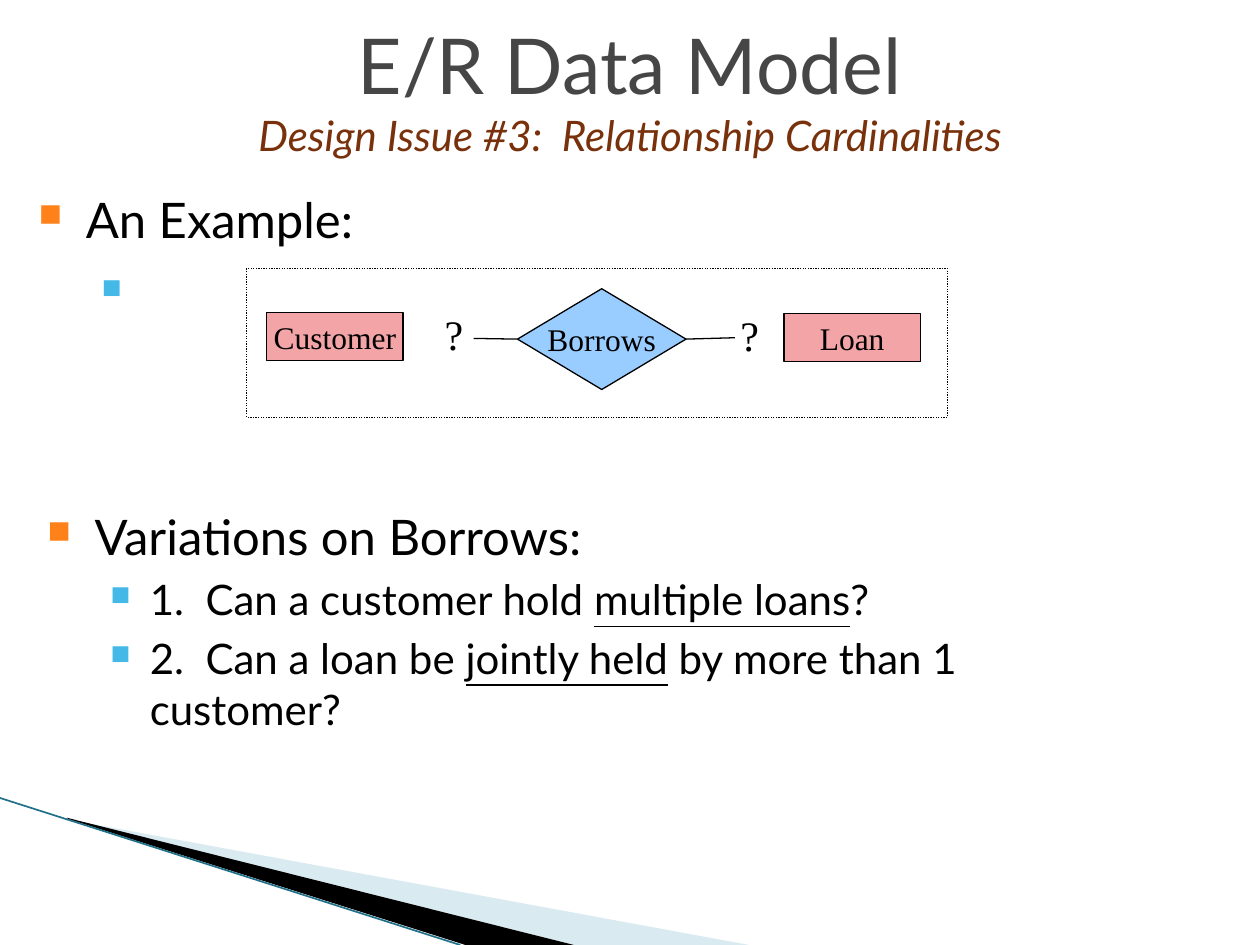
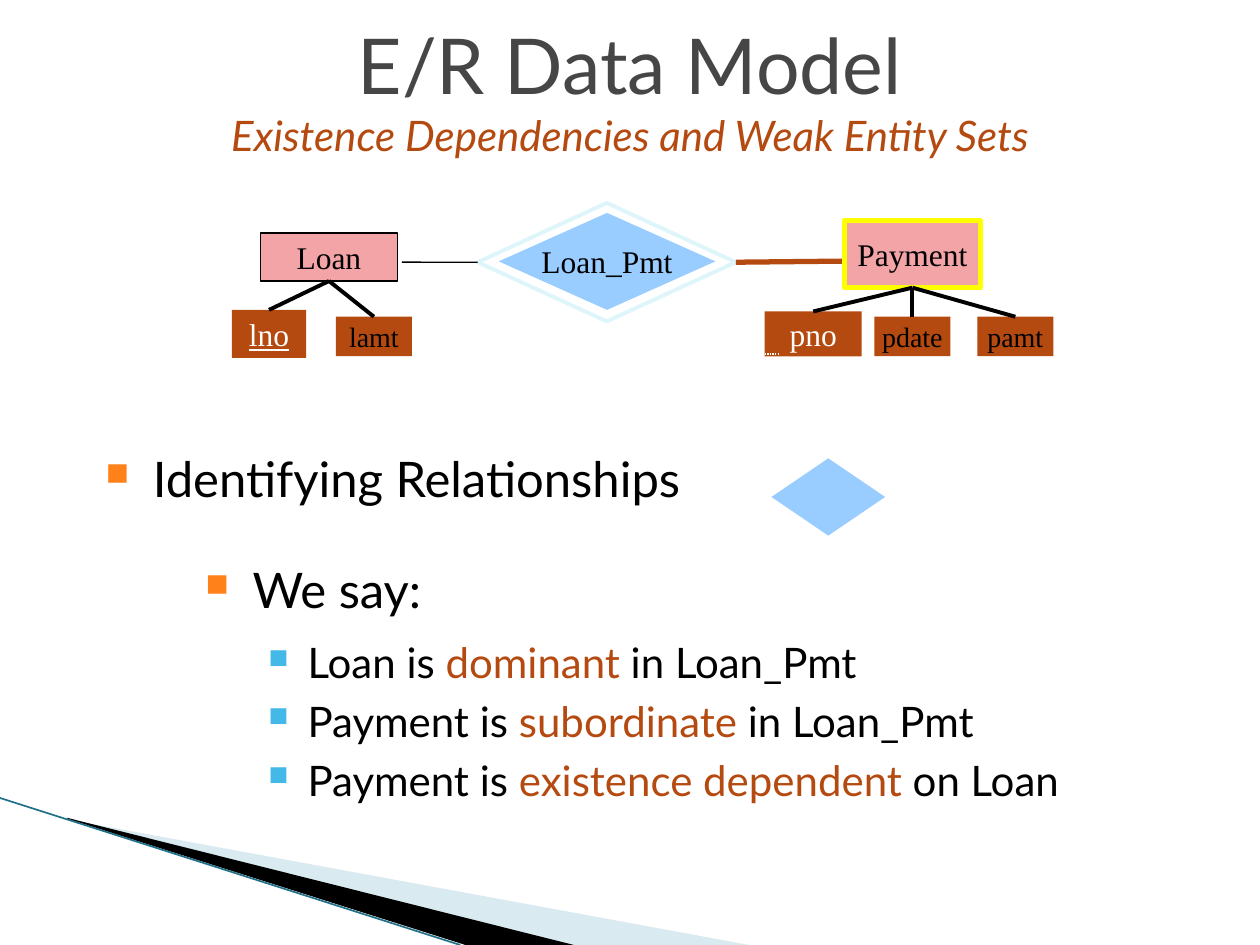
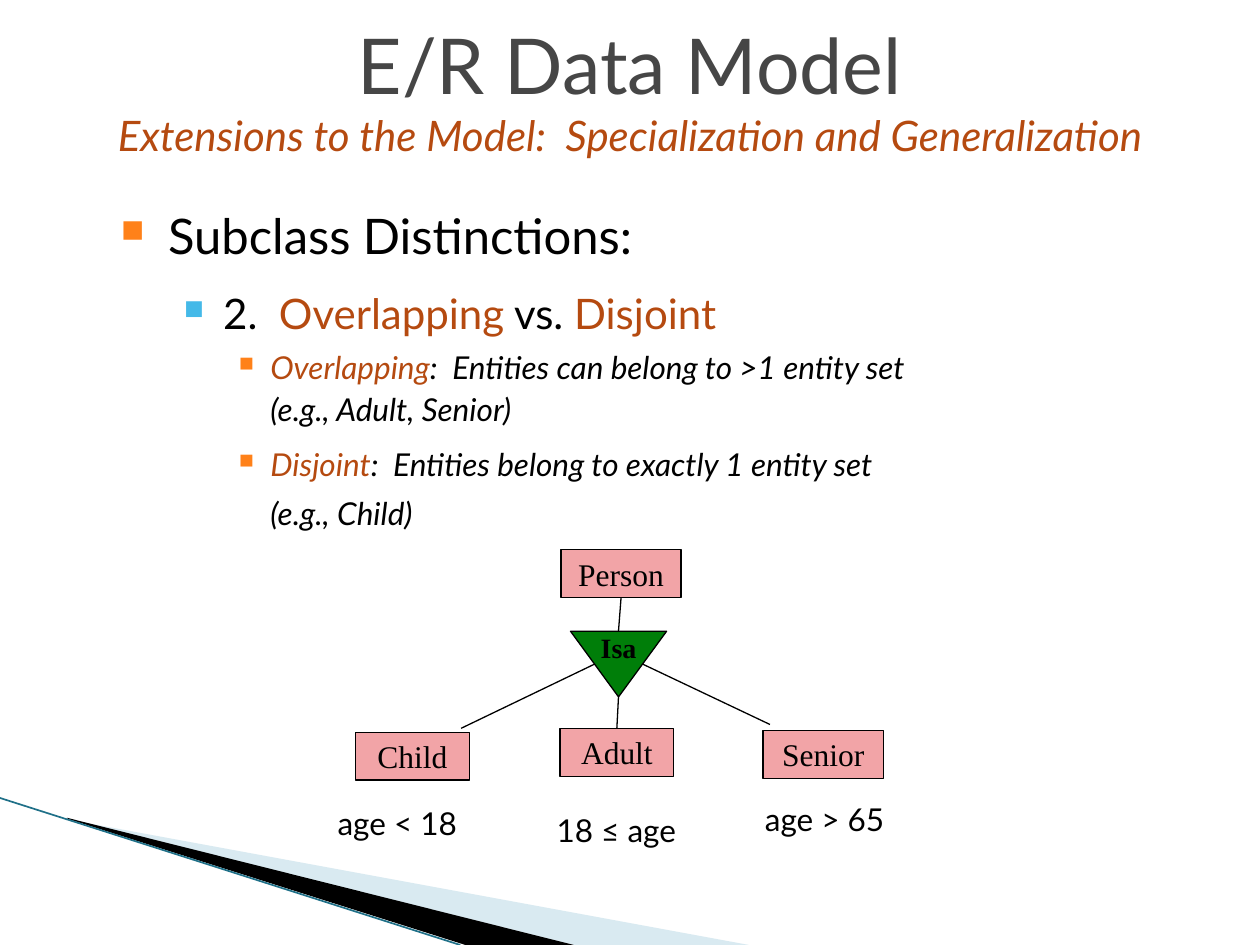
from pptx import Presentation
from pptx.dml.color import RGBColor
from pptx.enum.dml import MSO_LINE
from pptx.enum.shapes import MSO_CONNECTOR, MSO_SHAPE
from pptx.enum.text import MSO_ANCHOR, MSO_AUTO_SIZE, PP_ALIGN
from pptx.oxml.ns import qn
from pptx.util import Pt
from lxml.etree import SubElement

# Shared look
BLACK = RGBColor(0x00, 0x00, 0x00)
WHITE = RGBColor(0xFF, 0xFF, 0xFF)
GREY = RGBColor(0x46, 0x46, 0x46)
BROWN = RGBColor(0x78, 0x31, 0x0B)
RUST = RGBColor(0xB5, 0x4A, 0x10)
PINK = RGBColor(0xF2, 0xA4, 0xA7)
BLUE = RGBColor(0x99, 0xCC, 0xFF)
PALE = RGBColor(0xDE, 0xF5, 0xFA)
GREEN = RGBColor(0x00, 0x7E, 0x09)
YELLOW = RGBColor(0xFF, 0xFF, 0x00)
MIST = RGBColor(0xA0, 0xCB, 0xDC)
TEAL = RGBColor(0x1F, 0x70, 0x88)
SANS, SERIF = "Lato", "Times New Roman"
TOP, LEFT, BOTTOM, RIGHT = range(4)

# Per list level: left margin, hanging indent, text size, bullet colour, italic
LEVELS = [
    (27, 27, 28, "FF8119", False),
    (58.5, 22.5, 24, "44B9E8", False),
    (85.5, 18, 18, "FF8119", True),
]


def style(font, name=None, size=None, color=None):
    if name:
        font.name = name
    if size:
        font.size = Pt(size)
    if color is not None:
        font.color.rgb = color


def frame(slide, left, top, width, height):
    box = slide.shapes.add_textbox(Pt(left), Pt(top), Pt(width), Pt(height))
    box.text_frame.word_wrap = True
    return box.text_frame


def wedge(slide, points, color):
    start, *rest = [(Pt(x), Pt(y)) for x, y in points]
    pen = slide.shapes.build_freeform(*start)
    pen.add_line_segments(rest)
    shape = pen.convert_to_shape()
    shape.shadow.inherit = False
    shape.fill.solid()
    shape.fill.fore_color.rgb = color
    shape.line.fill.background()
    return shape


def link(slide, start, end, color=BLACK, width=0.75, dash=None):
    """Each end is a point (x, y) or a joint (shape, side)."""
    line = slide.shapes.add_connector(MSO_CONNECTOR.STRAIGHT, 0, 0, 0, 0)
    if isinstance(start[0], (int, float)):
        line.begin_x, line.begin_y = map(Pt, start)
    else:
        line.begin_connect(*start)
    if isinstance(end[0], (int, float)):
        line.end_x, line.end_y = map(Pt, end)
    else:
        line.end_connect(*end)
    line.line.color.rgb = color
    line.line.width = Pt(width)
    if dash:
        line.line.dash_style = dash
    SubElement(line._element.spPr, qn("a:effectLst"))


def node(slide, kind, area, text="", fill=PINK, edge=BLACK, width=0.75,
         size=18, color=BLACK):
    shape = slide.shapes.add_shape(kind, *map(Pt, area))
    shape.shadow.inherit = False
    if fill is None:
        shape.fill.background()
    else:
        shape.fill.solid()
        shape.fill.fore_color.rgb = fill
    if edge is None:
        shape.line.fill.background()
    else:
        shape.line.color.rgb = edge
        shape.line.width = Pt(width)
    if text:
        body = shape.text_frame
        body.word_wrap = False
        body.vertical_anchor = MSO_ANCHOR.MIDDLE
        para = body.paragraphs[0]
        para.text = text
        para.alignment = PP_ALIGN.CENTER
        style(para.font, SERIF, size, color)
    return shape


def field(slide, area, text, size=16, color=BLACK):
    return node(slide, MSO_SHAPE.RECTANGLE, area, text, RUST, None,
                size=size, color=color)


def label(slide, left, top, width, height, text, name, size):
    body = frame(slide, left, top, width, height)
    body.word_wrap = False
    body.auto_size = MSO_AUTO_SIZE.SHAPE_TO_FIT_TEXT
    para = body.paragraphs[0]
    para.text = text
    style(para.font, name, size, BLACK)


def bullet(para, level, space):
    margin, hang, size, color, slant = LEVELS[level]
    props = para._p.get_or_add_pPr()
    props.set("marL", str(Pt(margin)))
    props.set("indent", str(-Pt(hang)))
    tint = SubElement(props, qn("a:buClr"))
    SubElement(tint, qn("a:srgbClr")).set("val", color)
    SubElement(props, qn("a:buSzPct")).set("val", "65000")
    SubElement(props, qn("a:buChar")).set("char", "■")
    para.level = level
    if space:
        para.line_spacing = space
    style(para.font, SANS, size, BLACK)
    para.font.italic = slant


def bullets(slide, area, items):
    """Items are (level, line spacing, parts); a part is text or (text, mark)."""
    body = frame(slide, *area)
    for index, (level, space, parts) in enumerate(items):
        para = body.add_paragraph() if index else body.paragraphs[0]
        bullet(para, level, space)
        if index:
            para.space_before = Pt(LEVELS[level][2] * 0.2)
        for part in parts:
            text, mark = (part, None) if isinstance(part, str) else part
            for row, piece in enumerate(text.split("\n")):
                if row:
                    para.add_line_break()
                run = para.add_run()
                run.text = piece
                if mark == "under":
                    run.font.underline = True
                elif mark is not None:
                    run.font.color.rgb = mark


def start(deck, topic, color=RUST):
    """Add a slide with the corner wedges and the two-line title."""
    slide = deck.slides.add_slide(deck.slide_layouts[6])
    mist = wedge(slide, [(39.6, 468.5), (428, 540), (328, 540), (39.6, 468)], MIST)
    tint = mist.fill._xPr.find(".//" + qn("a:srgbClr"))
    SubElement(tint, qn("a:alpha")).set("val", "40000")
    wedge(slide, [(38.2, 467.3), (328, 540), (266, 540), (38.9, 468)], BLACK)
    link(slide, (0, 456), (263, 540), TEAL, 0.95)

    body = frame(slide, 0, 5.8, 720, 90)
    body.vertical_anchor = MSO_ANCHOR.MIDDLE
    para = body.paragraphs[0]
    para.alignment = PP_ALIGN.CENTER
    para.font.name = SANS
    head = para.add_run()
    head.text = "E/R Data Model"
    style(head.font, size=44, color=GREY)
    para.add_line_break()
    sub = para.add_run()
    sub.text = topic
    style(sub.font, size=24, color=color)
    sub.font.italic = True
    return slide


def ratios(deck):
    slide = start(deck, "Design Issue #3:  Relationship Cardinalities", BROWN)
    bullets(slide, (15, 105, 228, 50), [(0, None, ["An Example:"]), (1, 1.2, [" "])])

    # Borrows diagram
    node(slide, MSO_SHAPE.RECTANGLE, (152.4, 178.6, 78, 27.4), "Customer")
    panel = node(slide, MSO_SHAPE.RECTANGLE, (141, 153.4, 400.5, 85), fill=None)
    panel.line.dash_style = MSO_LINE.ROUND_DOT
    tie = node(slide, MSO_SHAPE.DIAMOND, (295.7, 165, 96.3, 57.6), "Borrows", BLUE)
    node(slide, MSO_SHAPE.RECTANGLE, (448, 179.3, 78, 27.4), "Loan")
    link(slide, (270.7, 193.4), (tie, LEFT))
    link(slide, (tie, RIGHT), (420, 193))
    for left, top in [(247, 172.8), (416, 173.5)]:
        label(slide, left, top, 25, 36, "?", SERIF, 24)

    bullets(slide, (20, 286, 631.5, 50), [
        (0, None, ["Variations on Borrows:"]),
        (1, None, ["1.  Can a customer hold ", ("multiple loans", "under"), "?"]),
        (1, None, ["2.  Can a loan be ", ("jointly held", "under"),
                   " by more than 1 customer?"]),
    ])


def weak(deck):
    slide = start(deck, "Existence Dependencies and Weak Entity Sets")
    bullets(slide, (53.3, 252.7, 390, 43), [(0, None, ["Identifying Relationships"])])
    node(slide, MSO_SHAPE.DIAMOND, (438, 260, 70.6, 48), fill=BLUE, edge=WHITE, width=3)
    bullets(slide, (110.2, 316, 542, 128), [
        (0, None, ["We say:"]),
        (1, 1.2, ["Loan is ", ("dominant", RUST), " in Loan_Pmt"]),
        (1, None, ["Payment is ", ("subordinate", RUST), " in Loan_Pmt"]),
        (1, None, ["Payment is ", ("existence dependent ", RUST), "on Loan"]),
    ])

    # Entities and their relationship
    loan = node(slide, MSO_SHAPE.RECTANGLE, (149, 133.2, 78, 27.4), "Loan")
    rim = node(slide, MSO_SHAPE.DIAMOND, (273, 116, 147.5, 67.7),
               fill=WHITE, edge=PALE, width=2.25)
    node(slide, MSO_SHAPE.DIAMOND, (285, 121.7, 123.8, 55.4), "Loan_Pmt", BLUE, None)
    link(slide, (rim, LEFT), (229.7, 149.8))
    link(slide, (484, 149.2), (rim, RIGHT), RUST, 3)
    pay = node(slide, MSO_SHAPE.RECTANGLE, (482.4, 126.2, 78, 38.2), "Payment",
               edge=YELLOW, width=3)

    # Attributes
    key = field(slide, (132.5, 177.1, 42.5, 27.4), "lno", 18, WHITE)
    key.text_frame.paragraphs[0].font.underline = True
    part = field(slide, (437, 178, 55.4, 25.7), "pno", 18, WHITE)
    sum_, date, paid = [
        field(slide, (left, 181, 43.4, 22.5), text)
        for left, text in [(192, "lamt"), (499.7, "pdate"), (558.5, "pamt")]
    ]
    for owner, item in [(loan, key), (loan, sum_), (pay, part), (pay, date), (pay, paid)]:
        link(slide, (owner, BOTTOM), (item, TOP), width=2.25)
    link(slide, (437, 202.3), (445, 202.3), WHITE, dash=MSO_LINE.ROUND_DOT)


def classes(deck):
    slide = start(deck, "Extensions to the Model:  Specialization and Generalization")
    bullets(slide, (62, 113.8, 565, 47.5), [
        (0, None, ["Subclass Distinctions:"]),
        (1, 1.3, ["2.  ", ("Overlapping", RUST), " vs. ", ("Disjoint", RUST)]),
        (2, 1.1, [("Overlapping", RUST),
                  ":  Entities can belong to >1 entity set\n(e.g., Adult, Senior)"]),
        (2, 1.3, [("Disjoint", RUST),
                  ":  Entities belong to exactly 1 entity set\n(e.g., Child)"]),
    ])

    # Isa tree
    root = node(slide, MSO_SHAPE.RECTANGLE, (320.6, 314, 68.6, 27.4), "Person")
    isa = node(slide, MSO_SHAPE.FLOWCHART_MERGE, (326, 360.7, 54.9, 37.5), "Isa",
               GREEN, size=16)
    isa.text_frame.paragraphs[0].font.bold = True
    _, adult, _ = [
        node(slide, MSO_SHAPE.RECTANGLE, (left, top, width, 27.4), text)
        for left, top, width, text in [
            (203, 418.4, 65.3, "Child"),
            (320, 416.2, 65, "Adult"),
            (436, 417.3, 69, "Senior"),
        ]
    ]
    link(slide, (root, BOTTOM), (isa, TOP))
    link(slide, (isa, BOTTOM), (adult, TOP))
    link(slide, (339.8, 379.5), (263.5, 416.2))
    link(slide, (367.2, 379.5), (440, 414))

    # Age rules
    for left, top, text in [(185.8, 455.8, "age < 18"), (311, 460, "18 ≤ age"),
                            (430, 453.6, "age > 65")]:
        label(slide, left, top, 87, 29, text, SANS, 18)


def main():
    deck = Presentation()
    deck.slide_width, deck.slide_height = Pt(720), Pt(540)
    ratios(deck)
    weak(deck)
    classes(deck)
    deck.save("out.pptx")


if __name__ == "__main__":
    main()
